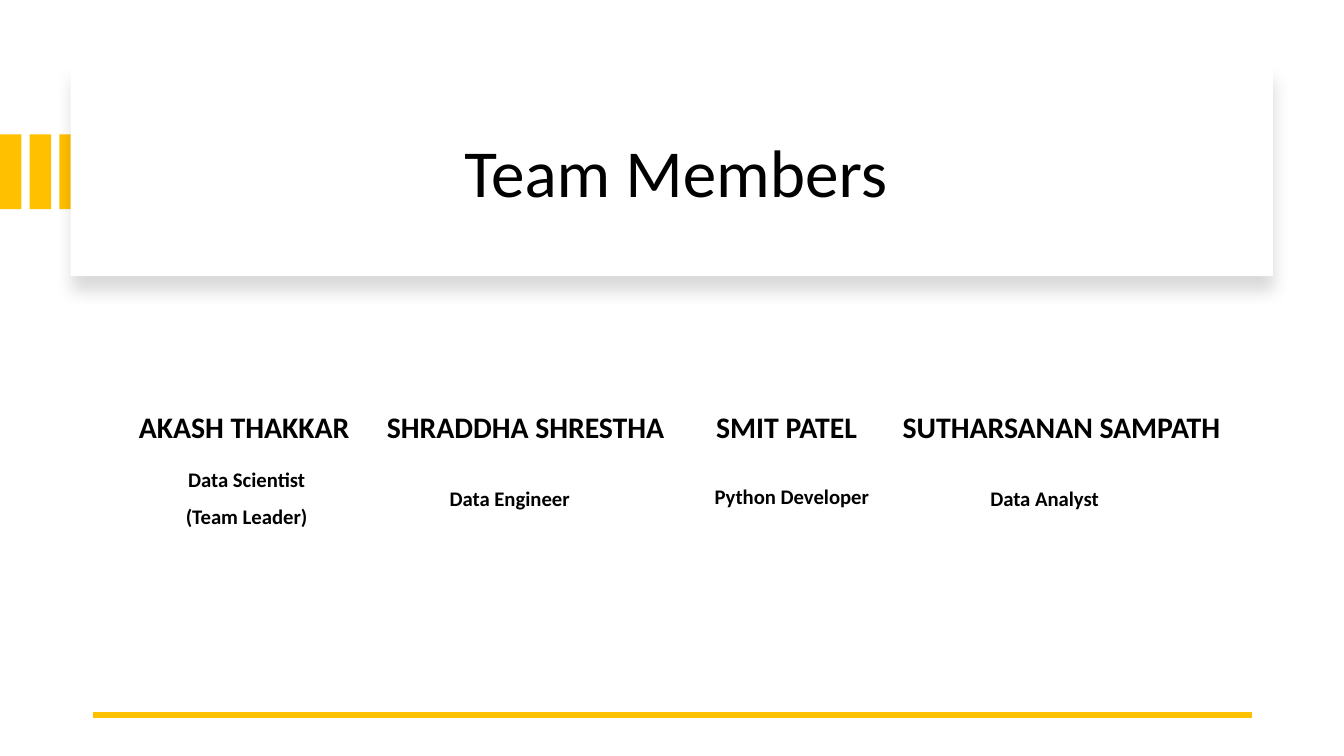
from dataclasses import dataclass

from lxml.etree import SubElement
from pptx import Presentation
from pptx.dml.color import RGBColor
from pptx.enum.shapes import MSO_CONNECTOR, MSO_SHAPE
from pptx.enum.text import MSO_ANCHOR, PP_ALIGN
from pptx.oxml.ns import qn
from pptx.util import Cm, Pt


@dataclass(frozen=True)
class Theme:
    """Colours, font and type sizes of the deck."""
    accent: RGBColor = RGBColor(0xFF, 0xC0, 0x00)
    surface: RGBColor = RGBColor(0xFF, 0xFF, 0xFF)
    ink: RGBColor = RGBColor(0x00, 0x00, 0x00)
    font: str = "Calibri"
    title_size: float = 48
    name_size: float = 21.3
    role_size: float = 14.8


@dataclass(frozen=True)
class Box:
    """A region of the slide, in centimetres."""
    left: float
    top: float
    width: float
    height: float

    def inner(self, left, top, width, height):
        """Return a box placed relative to this one."""
        return Box(self.left + left, self.top + top, width, height)

    def lengths(self):
        """Return left, top, width and height as lengths."""
        return Cm(self.left), Cm(self.top), Cm(self.width), Cm(self.height)


THEME = Theme()
MEMBERS = [
    ("AKASH THAKKAR", ["Data Scientist", "(Team Leader)"]),
    ("SHRADDHA SHRESTHA", ["Data Engineer"]),
    ("SMIT PATEL", ["Python Developer"]),
    ("SUTHARSANAN SAMPATH", ["Data Analyst"]),
]
NAME_TAB_STOPS = [6.25, 14.55, 19.25]
ROLE_OFFSETS = [(0, 1.68), (6.63, 1.68), (13.74, 1.63), (20.11, 1.68)]


def add_text(slide, box, lines, size, bold=False, align=PP_ALIGN.LEFT,
             anchor=MSO_ANCHOR.TOP, line_spacing=1.0, space_after=0, inset=0.13):
    """Add a text box with one paragraph per line and return its paragraphs."""
    frame = slide.shapes.add_textbox(*box.lengths()).text_frame
    frame.word_wrap = True
    frame.vertical_anchor = anchor
    frame.margin_top = frame.margin_bottom = Cm(inset)
    for index, line in enumerate(lines):
        paragraph = frame.add_paragraph() if index else frame.paragraphs[0]
        paragraph.alignment = align
        paragraph.line_spacing = line_spacing
        paragraph.space_after = Pt(space_after)
        run = paragraph.add_run()
        run.text = line
        run.font.name = THEME.font
        run.font.size = Pt(size)
        run.font.bold = bold
        run.font.color.rgb = THEME.ink
    return frame.paragraphs


def add_rectangle(slide, box, color):
    """Add a flat rectangle without an outline."""
    shape = slide.shapes.add_shape(MSO_SHAPE.RECTANGLE, *box.lengths())
    shape.shadow.inherit = False
    shape.fill.solid()
    shape.fill.fore_color.rgb = color
    shape.line.fill.background()
    return shape


def add_soft_shadow(shape):
    """Give a shape a faint shadow that falls straight down."""
    effects = shape._element.spPr.find(qn("a:effectLst"))
    shadow = SubElement(effects, qn("a:outerShdw"), blurRad=str(Pt(11)),
                        dist=str(Pt(10)), dir="5400000", algn="t", rotWithShape="0")
    color = SubElement(shadow, qn("a:srgbClr"), val=str(THEME.ink))
    SubElement(color, qn("a:alpha"), val="15000")


def add_tab_stops(paragraph, positions):
    """Set left tab stops on a paragraph."""
    tabs = SubElement(paragraph._p.get_or_add_pPr(), qn("a:tabLst"))
    for position in positions:
        SubElement(tabs, qn("a:tab"), pos=str(Cm(position)), algn="l")


def add_stripes(slide, box, count=3, pitch=0.75):
    """Add the accent stripes, the first one filling the box."""
    for index in range(count):
        stripe = box.inner(index * pitch, 0, box.width, box.height)
        add_rectangle(slide, stripe, THEME.accent)


def add_title_card(slide, box, title):
    """Add the raised card with the centred title."""
    add_soft_shadow(add_rectangle(slide, box, THEME.surface))
    add_text(slide, box.inner(1.12, 0.56, 28.27, 4.32), [title], THEME.title_size,
             align=PP_ALIGN.CENTER, anchor=MSO_ANCHOR.MIDDLE, line_spacing=0.9)


def add_team(slide, box, members):
    """Add the row of names and the role below each one."""
    names = "\t".join(name for name, _ in members)
    paragraphs = add_text(slide, box.inner(0.35, 0, box.width - 0.35, 1.32), [names],
                          THEME.name_size, bold=True, space_after=6)
    add_tab_stops(paragraphs[0], NAME_TAB_STOPS)
    for (_, roles), (left, top) in zip(members, ROLE_OFFSETS):
        add_text(slide, box.inner(left, top, 6.63, 1.32), roles, THEME.role_size,
                 bold=True, align=PP_ALIGN.CENTER, anchor=MSO_ANCHOR.MIDDLE,
                 line_spacing=1.15, space_after=6, inset=0.25)


def add_footer_rule(slide, box):
    """Add the accent rule along the top of the box."""
    left, top, width, _ = box.lengths()
    rule = slide.shapes.add_connector(MSO_CONNECTOR.STRAIGHT, left + width, top, left, top)
    rule.line.color.rgb = THEME.accent
    rule.line.width = Pt(4.5)
    SubElement(rule._element.spPr, qn("a:effectLst"))


def main():
    """Build the team slide and save it."""
    presentation = Presentation()
    presentation.slide_width, presentation.slide_height = Cm(33.87), Cm(19.05)
    slide = presentation.slides.add_slide(presentation.slide_layouts[6])
    slide.background.fill.solid()
    slide.background.fill.fore_color.rgb = THEME.surface
    add_stripes(slide, Box(0, 3.39, 0.54, 1.88))
    add_title_card(slide, Box(1.78, 1.7, 30.3, 5.26), "Team Members")
    add_footer_rule(slide, Box(2.34, 18.01, 29.21, 0))
    add_team(slide, Box(2.9, 10.16, 29.18, 3), MEMBERS)
    presentation.save("out.pptx")


if __name__ == "__main__":
    main()
